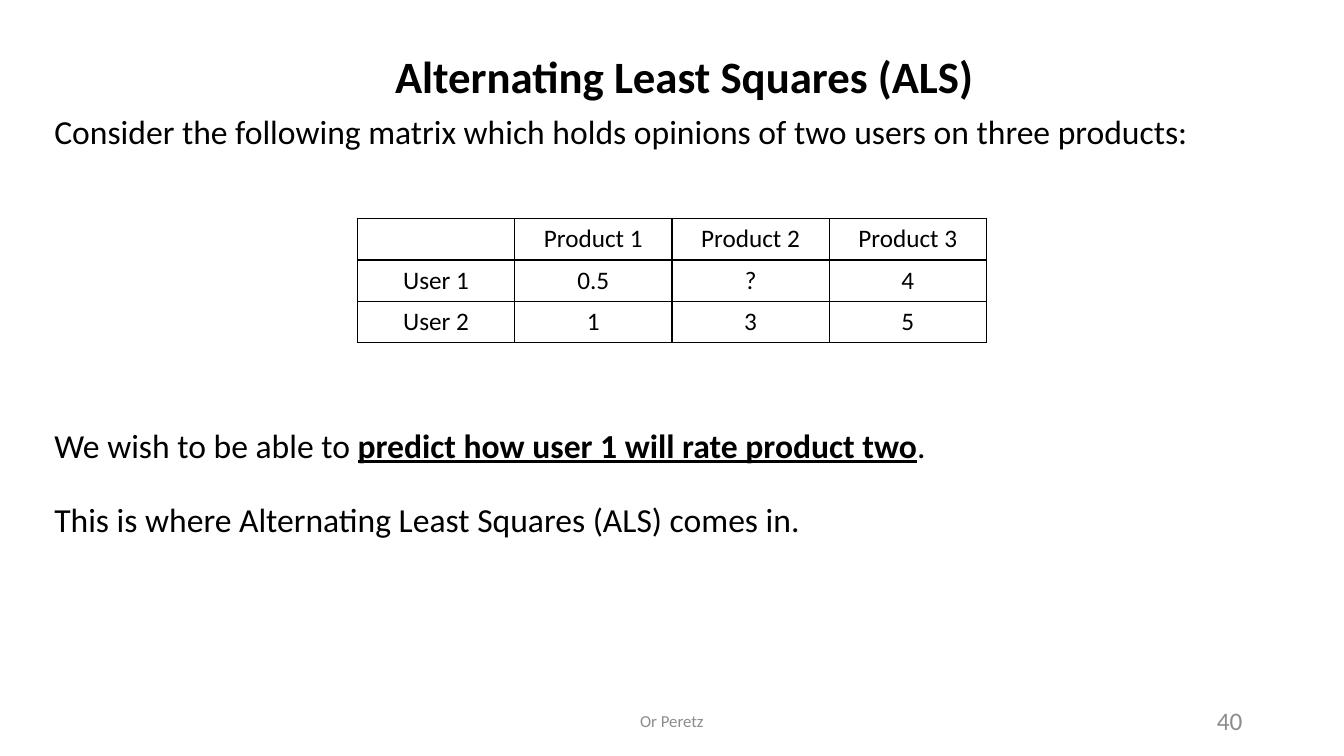
from pptx import Presentation
from pptx.dml.color import RGBColor
from pptx.enum.text import MSO_ANCHOR, MSO_AUTO_SIZE, PP_ALIGN
from pptx.oxml import parse_xml
from pptx.oxml.ns import nsdecls
from pptx.util import Inches, Pt

# Content: a paragraph is a list of (text, strong) runs
TITLE = [[("Alternating Least Squares (ALS)", True)]]
INTRO = [[("Consider the following matrix which holds opinions "
           "of two users on three products:", False)]]
GOAL = [
    [("We wish to be able to ", False),
     ("predict how user 1 will rate product two", True),
     (".", False)],
    [("This is where Alternating Least Squares (ALS) comes in.", False)],
]
RATINGS = [
    ["", "Product 1", "Product 2", "Product 3"],
    ["User 1", "0.5", "?", "4"],
    ["User 2", "1", "3", "5"],
]
AUTHOR = [[("Or Peretz", False)]]
NUMBER = [[("40", False)]]

# Look and layout, in inches
COLORS = {"ink": "000000", "gray": "8C8C8C", "paper": "FFFFFF"}
FONT = "Calibri"
WIDE, HIGH = 13.33, 7.5
LEFT, SPAN = 0.44, 12.7
COL, ROW = 1.56, 0.41
GRID_TOP = 2.17
FOOT_TOP, FOOT_H = 6.95, 0.4


def write(frame, paras, size=24, color="ink", align=PP_ALIGN.LEFT,
          gap=0, line=False):
    """Fill a text frame; strong runs are bold, and underlined if line."""
    frame.word_wrap = True
    frame.vertical_anchor = MSO_ANCHOR.MIDDLE
    for i, runs in enumerate(paras):
        para = frame.add_paragraph() if i else frame.paragraphs[0]
        para.alignment = align
        para.space_before = Pt(gap if i else 0)
        for text, strong in runs:
            run = para.add_run()
            run.text = text
            font = run.font
            font.name, font.size = FONT, Pt(size)
            font.bold, font.underline = strong, strong and line
            font.color.rgb = RGBColor.from_string(COLORS[color])


def add_text(slide, box, paras, **style):
    shape = slide.shapes.add_textbox(*map(Inches, box))
    write(shape.text_frame, paras, **style)


def add_border(cell):
    props = cell._tc.get_or_add_tcPr()
    for i, side in enumerate(("lnL", "lnR", "lnT", "lnB")):
        props.insert(i, parse_xml(
            f'<a:{side} {nsdecls("a")} w="{Pt(1)}"><a:solidFill>'
            f'<a:srgbClr val="{COLORS["ink"]}"/></a:solidFill></a:{side}>'))


def add_grid(slide, data):
    rows, cols = len(data), len(data[0])
    left = (WIDE - cols * COL) / 2
    box = (left, GRID_TOP, cols * COL, rows * ROW)
    table = slide.shapes.add_table(rows, cols, *map(Inches, box)).table
    table.first_row = table.horz_banding = False
    for r, line in enumerate(data):
        for c, text in enumerate(line):
            cell = table.cell(r, c)
            cell.fill.solid()
            cell.fill.fore_color.rgb = RGBColor.from_string(COLORS["paper"])
            add_border(cell)
            write(cell.text_frame, [[(text, False)]] if text else [],
                  size=18, align=PP_ALIGN.CENTER)


def main():
    deck = Presentation()
    deck.slide_width, deck.slide_height = Inches(WIDE), Inches(HIGH)
    slide = deck.slides.add_slide(deck.slide_layouts[5])

    # Title
    title = slide.shapes.title
    title.left, title.top = Inches(LEFT), Inches(0.4)
    title.width, title.height = Inches(SPAN), Inches(0.7)
    title.text_frame.auto_size = MSO_AUTO_SIZE.NONE
    write(title.text_frame, TITLE, size=32, align=PP_ALIGN.CENTER)

    # Body text and ratings
    add_text(slide, (LEFT, 1.05, SPAN, 0.5), INTRO)
    add_grid(slide, RATINGS)
    add_text(slide, (LEFT, 4.18, SPAN, 1.2), GOAL, gap=24, line=True)

    # Footer
    add_text(slide, ((WIDE - 4.5) / 2, FOOT_TOP, 4.5, FOOT_H), AUTHOR,
             size=12, color="gray", align=PP_ALIGN.CENTER)
    add_text(slide, (9.42, FOOT_TOP, 3, FOOT_H), NUMBER,
             size=18, color="gray", align=PP_ALIGN.RIGHT)
    deck.save("out.pptx")


if __name__ == "__main__":
    main()
